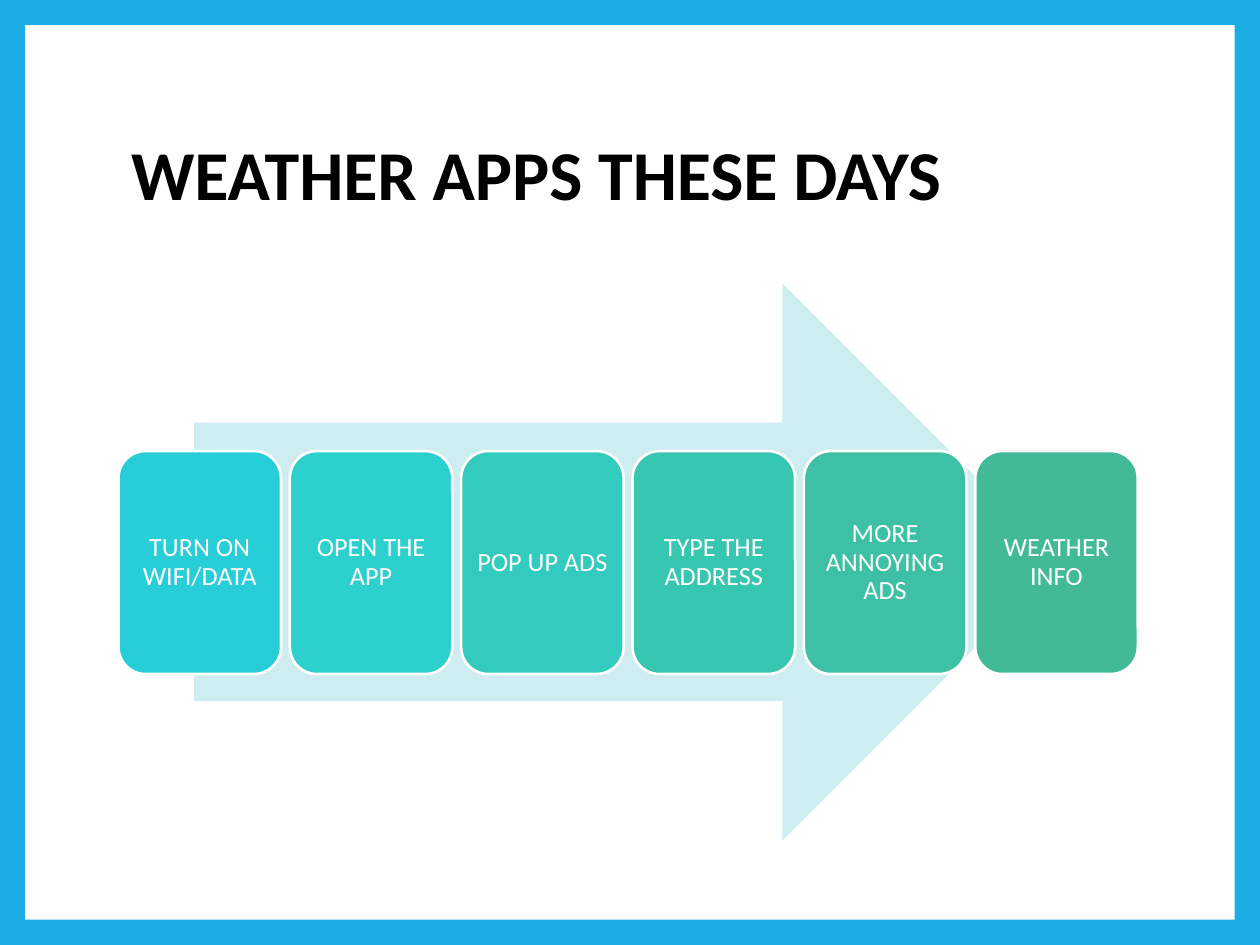
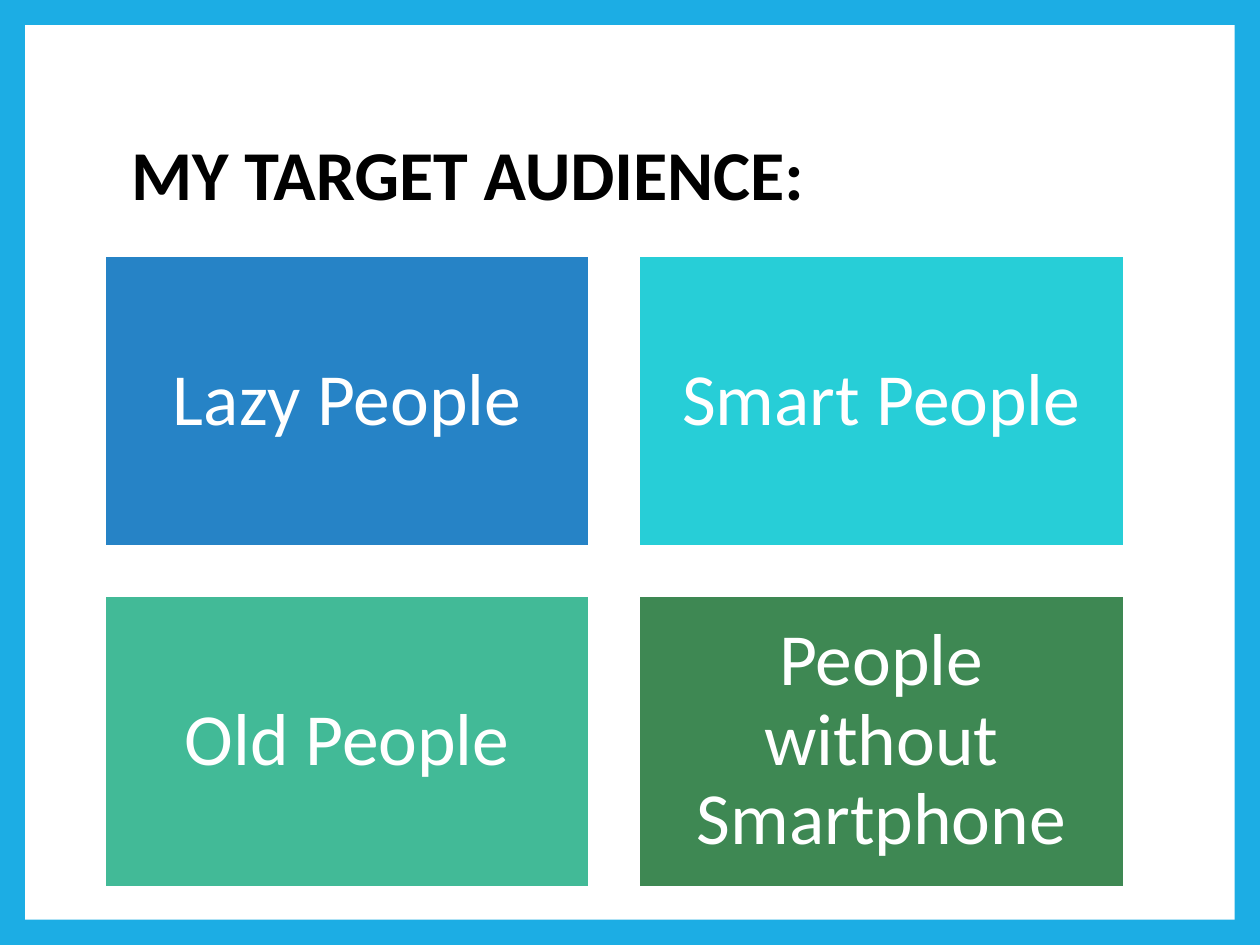
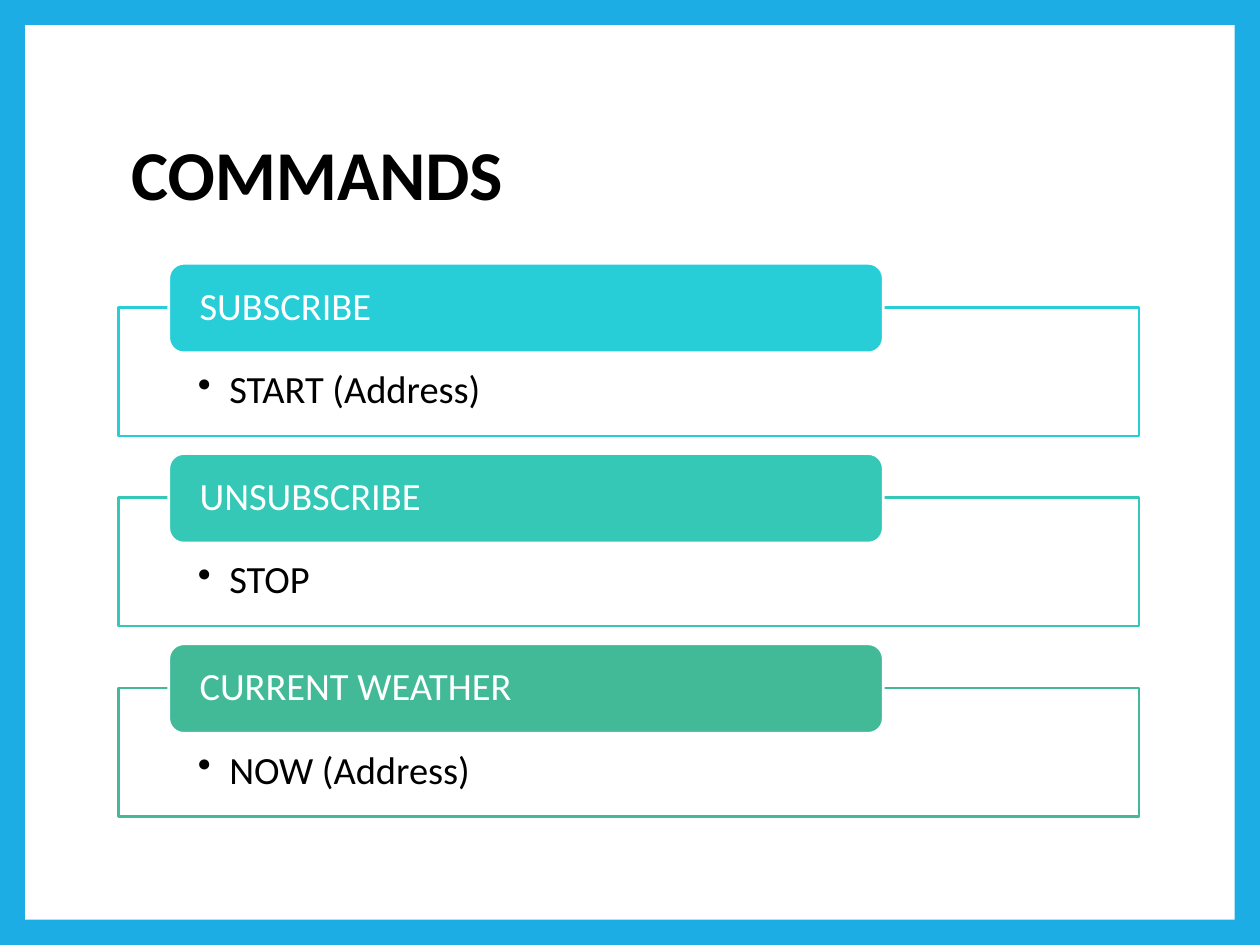
from dataclasses import dataclass

from lxml.etree import SubElement
from pptx import Presentation
from pptx.dml.color import RGBColor
from pptx.enum.shapes import MSO_SHAPE as Preset
from pptx.enum.text import MSO_ANCHOR as Anchor, PP_ALIGN as Align
from pptx.oxml.ns import qn
from pptx.util import Inches, Pt

# Shared look
FONT = "Calibri"
BLACK = RGBColor(0x00, 0x00, 0x00)
WHITE = RGBColor(0xFF, 0xFF, 0xFF)
FRAME_BLUE = RGBColor(0x1C, 0xAD, 0xE4)
ARROW_TINT = RGBColor(0xCD, 0xED, 0xF0)
BLUE = RGBColor(0x26, 0x83, 0xC6)
CYAN = RGBColor(0x27, 0xCE, 0xD7)
TURQUOISE = RGBColor(0x2C, 0xD1, 0xCE)
LAGOON = RGBColor(0x32, 0xCB, 0xBE)
AQUA = RGBColor(0x35, 0xC8, 0xB7)
TEAL = RGBColor(0x37, 0xC6, 0xB0)
JADE = RGBColor(0x3D, 0xC0, 0xA3)
MINT = RGBColor(0x42, 0xBA, 0x97)
GREEN = RGBColor(0x3E, 0x88, 0x53)


@dataclass(frozen=True)
class Area:
    """A rectangle, in inches."""
    left: float
    top: float
    width: float
    height: float

    def lengths(self):
        return [Inches(n) for n in (self.left, self.top, self.width, self.height)]


@dataclass(frozen=True)
class TextStyle:
    size: float
    insets: tuple[float, float, float, float]  # left, top, right, bottom
    color: RGBColor = WHITE
    align: Align = Align.CENTER
    anchor: Anchor = Anchor.MIDDLE
    bold: bool = False


@dataclass(frozen=True)
class Item:
    label: str
    color: RGBColor
    detail: str = ""


PANEL = Area(0.2, 0.2, 9.6, 7.1)
TITLE = Area(0.94, 0.67, 8.1, 1.48)
TITLE_STYLE = TextStyle(40, (0.1, 0.05, 0.1, 0.05), BLACK, Align.LEFT, bold=True)
STEP_STYLE = TextStyle(15, (0.06,) * 4)
TILE_STYLE = TextStyle(42, (0.17,) * 4)
TAB_STYLE = TextStyle(22, (0.21, 0, 0.21, 0), align=Align.LEFT)
DETAIL_STYLE = TextStyle(22, (0.63, 0.5, 0.63, 0.17), BLACK, Align.LEFT, Anchor.TOP)

STEPS = [
    Item("TURN ON WIFI/DATA", CYAN),
    Item("OPEN THE APP", TURQUOISE),
    Item("POP UP ADS", LAGOON),
    Item("TYPE THE ADDRESS", TEAL),
    Item("MORE ANNOYING ADS", JADE),
    Item("WEATHER INFO", MINT),
]
AUDIENCE = [
    Item("Lazy People", BLUE),
    Item("Smart People", CYAN),
    Item("Old People", MINT),
    Item("People without Smartphone", GREEN),
]
COMMANDS = [
    Item("SUBSCRIBE", CYAN, "START (Address)"),
    Item("UNSUBSCRIBE", AQUA, "STOP"),
    Item("CURRENT WEATHER", MINT, "NOW (Address)"),
]


# Drawing helpers
def write(shape, text: str, style: TextStyle):
    frame = shape.text_frame
    frame.text = text
    frame.word_wrap = True
    frame.vertical_anchor = style.anchor
    (frame.margin_left, frame.margin_top,
     frame.margin_right, frame.margin_bottom) = map(Inches, style.insets)
    para = frame.paragraphs[0]
    para.alignment = style.align
    para.line_spacing = 0.9
    font = para.runs[0].font
    font.name, font.size, font.bold = FONT, Pt(style.size), style.bold
    font.color.rgb = style.color


def add_block(page, preset: Preset, area: Area, fill: RGBColor,
              line: RGBColor | None = None):
    block = page.shapes.add_shape(preset, *area.lengths())
    block.shadow.inherit = False
    block.fill.solid()
    block.fill.fore_color.rgb = fill
    if line is None:
        block.line.fill.background()
    else:
        block.line.color.rgb = line
        block.line.width = Pt(1.5)
    return block


def add_bullet(para):
    para.level = 1
    props = para._p.get_or_add_pPr()
    props.set("marL", str(Inches(0.25)))
    props.set("indent", str(Inches(-0.25)))
    SubElement(props, qn("a:buChar")).set("char", "•")


def add_page(deck, title: str):
    page = deck.slides.add_slide(deck.slide_layouts.get_by_name("Title Only"))
    heading = page.shapes.title
    heading.left, heading.top, heading.width, heading.height = TITLE.lengths()
    write(heading, title, TITLE_STYLE)
    # The white panel lies behind the title
    panel = add_block(page, Preset.RECTANGLE, PANEL, WHITE)
    heading.element.addprevious(panel.element)
    return page


# Slides
def build_steps(deck):
    page = add_page(deck, "WEATHER APPS THESE DAYS")
    add_block(page, Preset.RIGHT_ARROW, Area(1.54, 2.25, 6.88, 4.42), ARROW_TINT)
    for column, step in enumerate(STEPS):
        area = Area(0.94 + column * 1.36, 3.58, 1.29, 1.77)
        card = add_block(page, Preset.ROUNDED_RECTANGLE, area, step.color, WHITE)
        write(card, step.label, STEP_STYLE)


def build_audience(deck):
    page = add_page(deck, "MY TARGET AUDIENCE:")
    for index, group in enumerate(AUDIENCE):
        row, column = divmod(index, 2)
        area = Area(0.83 + column * 4.24, 2.03 + row * 2.7, 3.85, 2.31)
        tile = add_block(page, Preset.RECTANGLE, area, group.color, WHITE)
        write(tile, group.label, TILE_STYLE)


def build_commands(deck):
    page = add_page(deck, "COMMANDS")
    for row, command in enumerate(COMMANDS):
        top = 2.09 + row * 1.51
        box = add_block(page, Preset.RECTANGLE, Area(0.94, top + 0.35, 8.1, 1.02),
                        WHITE, command.color)
        write(box, command.detail, DETAIL_STYLE)
        add_bullet(box.text_frame.paragraphs[0])
        tab = add_block(page, Preset.ROUNDED_RECTANGLE, Area(1.34, top, 5.67, 0.71),
                        command.color, WHITE)
        write(tab, command.label, TAB_STYLE)


def main():
    deck = Presentation()
    deck.slide_width, deck.slide_height = Inches(10), Inches(7.5)
    background = deck.slide_master.background.fill
    background.solid()
    background.fore_color.rgb = FRAME_BLUE
    build_steps(deck)
    build_audience(deck)
    build_commands(deck)
    deck.save("out.pptx")


if __name__ == "__main__":
    main()
